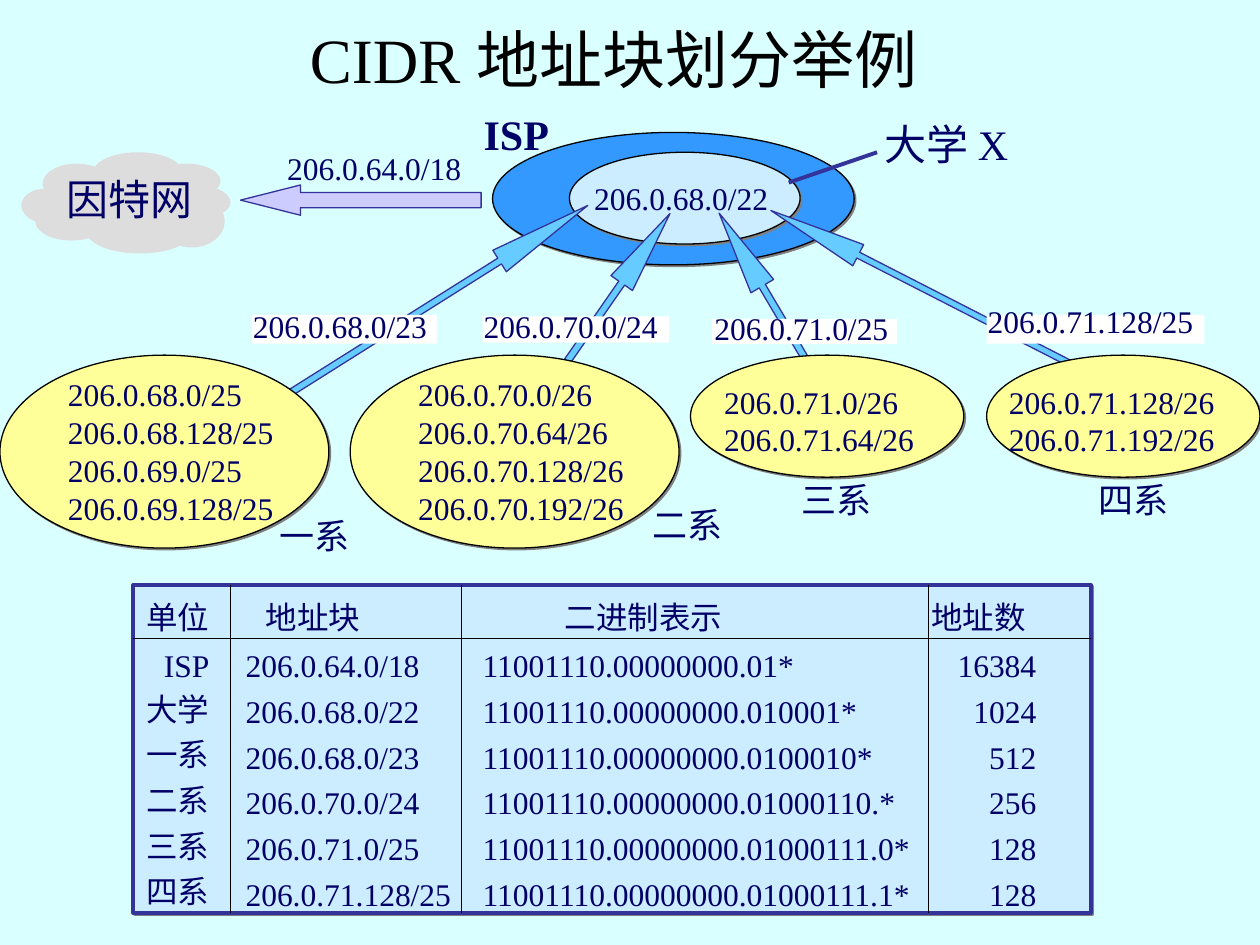
from lxml.etree import SubElement
from pptx import Presentation
from pptx.dml.color import RGBColor
from pptx.enum.shapes import MSO_CONNECTOR, MSO_SHAPE
from pptx.enum.text import MSO_ANCHOR, MSO_AUTO_SIZE, PP_ALIGN
from pptx.oxml import parse_xml
from pptx.oxml.ns import nsdecls, qn
from pptx.util import Cm, Pt

BACKDROP = RGBColor(0xD9, 0xFF, 0xFF)
BLACK = RGBColor(0, 0, 0)
WHITE = RGBColor(0xFF, 0xFF, 0xFF)
NAVY = RGBColor(0, 0, 0x66)
INDIGO = RGBColor(0x33, 0x33, 0x99)
ISP_BLUE = RGBColor(0x33, 0x99, 0xFF)
PALE_BLUE = RGBColor(0xCC, 0xEC, 0xFF)
SKY = RGBColor(0x66, 0xCC, 0xFF)
LILAC = RGBColor(0xCC, 0xCC, 0xFF)
YELLOW = RGBColor(0xFF, 0xFF, 0x99)
CLOUD_GREY = RGBColor(0xDD, 0xDD, 0xDD)
FONT = "Times New Roman"

CLOUD_PUFFS = [
    (1.88, 3.07, 1.8, 0.81), (0.86, 3.3, 1.37, 0.81), (0.43, 3.81, 0.91, 0.66),
    (0.71, 4.11, 1.4, 0.71), (1.73, 4.22, 2.11, 0.86), (3.1, 3.3, 1.32, 0.64),
    (3.3, 3.73, 1.32, 0.64), (3.18, 3.89, 1.32, 1.07), (1.19, 3.56, 2.72, 1.07),
]

DEPARTMENTS = [
    dict(name="四系", name_at=(21.89, 9.53), block="206.0.71.128/25",
         block_at=(19.66, 5.97, 4.65), patch=(19.89, 6.35, 4.39, 0.58),
         oval=(19.89, 7.16, 5.51, 2.46), subnets_at=(20.09, 7.59, 4.65, 1.78),
         subnets="206.0.71.128/26\n206.0.71.192/26",
         arrow=(15.16, 5.59, 6.96, 0.48), turn=27.1, head=4.12),
    dict(name="一系", name_at=(5.38, 10.24), block="206.0.68.0/23",
         block_at=(4.85, 6.07, 4.01), patch=(5.08, 6.35, 3.73, 0.58),
         oval=(0, 7.16, 6.63, 3.89), subnets_at=(1.12, 7.44, 4.65, 3.3),
         subnets="206.0.68.0/25\n206.0.68.128/25\n206.0.69.0/25\n206.0.69.128/25",
         arrow=(4.98, 5.87, 7.44, 0.51), turn=147.8, head=4.12),
    dict(name="二系", name_at=(12.9, 10.03), block="206.0.70.0/24",
         block_at=(9.5, 6.07, 4.01), patch=(9.73, 6.38, 3.76, 0.53),
         oval=(7.06, 7.16, 6.63, 3.89), subnets_at=(8.18, 7.44, 4.65, 3.3),
         subnets="206.0.70.0/26\n206.0.70.64/26\n206.0.70.128/26\n206.0.70.192/26",
         arrow=(8.84, 6.48, 5.94, 0.53), turn=124.8, head=3.22),
    dict(name="三系", name_at=(15.9, 9.53), block="206.0.71.0/25",
         block_at=(14.15, 6.1, 4.01), patch=(14.35, 6.43, 3.73, 0.51),
         oval=(13.92, 7.16, 5.51, 2.46), subnets_at=(14.35, 7.59, 4.4, 1.78),
         subnets="206.0.71.0/26\n206.0.71.64/26",
         arrow=(13.03, 6.6, 5.97, 0.53), turn=59.4, head=3.23),
]

ADDRESS_ROWS = [
    ("单位", "地址块", "二进制表示", "地址数"),
    ("ISP", "206.0.64.0/18", "11001110.00000000.01*", "16384"),
    ("大学", "206.0.68.0/22", "11001110.00000000.010001*", "1024"),
    ("一系", "206.0.68.0/23", "11001110.00000000.0100010*", "512"),
    ("二系", "206.0.70.0/24", "11001110.00000000.01000110.*", "256"),
    ("三系", "206.0.71.0/25", "11001110.00000000.01000111.0*", "128"),
    ("四系", "206.0.71.128/25", "11001110.00000000.01000111.1*", "128"),
]
COLUMN_WIDTHS = (1.96, 4.65, 9.42, 3.27)
HEADER_HEIGHT, ROW_HEIGHT = 1.09, 0.92
HEADER_INDENTS = (0, 0.71, 2.08, 0.05)
BODY_INDENTS = (0, 0.3, 0.43, 0)
RIGHT_INDENTS = (0.43, 0, 0, 1.1)


def write(frame, text, size=18, color=NAVY, bold=False, align=PP_ALIGN.LEFT):
    for index, line in enumerate(text.split("\n")):
        paragraph = frame.add_paragraph() if index else frame.paragraphs[0]
        paragraph.alignment = align
        run = paragraph.add_run()
        run.text = line
        run.font.name = FONT
        run.font.size = Pt(size)
        run.font.bold = bold
        run.font.color.rgb = color


class Diagram:
    def __init__(self, slide):
        self.slide = slide
        slide.background.fill.solid()
        slide.background.fill.fore_color.rgb = BACKDROP

    def text(self, box, text, anchor=MSO_ANCHOR.TOP, wrap=False, **style):
        frame = self.slide.shapes.add_textbox(*map(Cm, box)).text_frame
        frame.word_wrap = wrap
        frame.auto_size = MSO_AUTO_SIZE.NONE if wrap else MSO_AUTO_SIZE.SHAPE_TO_FIT_TEXT
        frame.vertical_anchor = anchor
        write(frame, text, **style)

    def shape(self, kind, box, fill, line=None, width=0.75, shadow=False, parent=None):
        shape = (parent or self.slide).shapes.add_shape(kind, *map(Cm, box))
        shape.shadow.inherit = False
        shape.fill.solid()
        shape.fill.fore_color.rgb = fill
        if line is None:
            shape.line.fill.background()
        else:
            shape.line.color.rgb = line
            shape.line.width = Pt(width)
        if shadow:
            effects = shape._element.spPr.find(qn("a:effectLst"))
            effects.append(parse_xml(
                f'<a:outerShdw {nsdecls("a")} dist="17780" dir="2700000">'
                '<a:srgbClr val="808080"/></a:outerShdw>'))
        return shape

    def oval(self, box, fill):
        self.shape(MSO_SHAPE.OVAL, box, fill, line=BLACK, shadow=True)

    def arrow(self, box, fill, shaft, head, turn=0):
        arrow = self.shape(MSO_SHAPE.LEFT_ARROW, box, fill, line=INDIGO)
        arrow.adjustments[0] = shaft
        arrow.adjustments[1] = head
        arrow.rotation = turn

    def cloud(self):
        group = self.slide.shapes.add_group_shape()
        for shift in (0.03, 0):
            for left, top, width, height in CLOUD_PUFFS:
                self.shape(MSO_SHAPE.OVAL, (left + shift, top + shift, width, height),
                           CLOUD_GREY, parent=group)

    def line(self, start, end, color, width):
        line = self.slide.shapes.add_connector(MSO_CONNECTOR.STRAIGHT, *map(Cm, start + end))
        line.line.color.rgb = color
        line.line.width = Pt(width)
        SubElement(line._element.spPr, qn("a:effectLst"))

    def borders(self, cell, visible):
        properties = cell._tc.get_or_add_tcPr()
        for position, side in enumerate("LRTB"):
            paint = (f'<a:solidFill><a:srgbClr val="{BLACK}"/></a:solidFill>'
                     if side in visible else "<a:noFill/>")
            properties.insert(position, parse_xml(
                f'<a:ln{side} {nsdecls("a")} w="9525">{paint}</a:ln{side}>'))

    def table(self, left, top, rows):
        height = HEADER_HEIGHT + ROW_HEIGHT * (len(rows) - 1)
        box = (left, top, sum(COLUMN_WIDTHS), height)
        self.shape(MSO_SHAPE.RECTANGLE, box, PALE_BLUE, line=INDIGO, width=2.25, shadow=True)
        table = self.slide.shapes.add_table(
            len(rows), len(COLUMN_WIDTHS), *map(Cm, box)).table
        table.first_row = table.horz_banding = False
        last = len(COLUMN_WIDTHS) - 1
        for column, width in zip(table.columns, COLUMN_WIDTHS):
            column.width = Cm(width)
        for r, values in enumerate(rows):
            table.rows[r].height = Cm(ROW_HEIGHT if r else HEADER_HEIGHT)
            for c, value in enumerate(values):
                cell = table.cell(r, c)
                cell.fill.background()
                cell.vertical_anchor = MSO_ANCHOR.BOTTOM
                cell.margin_top = cell.margin_bottom = 0
                cell.margin_left = Cm((BODY_INDENTS if r else HEADER_INDENTS)[c])
                to_right = c == 0 or (c == last and r > 0)
                cell.margin_right = Cm(RIGHT_INDENTS[c] if to_right else 0)
                write(cell.text_frame, value,
                      align=PP_ALIGN.RIGHT if to_right else PP_ALIGN.LEFT)
                self.borders(cell, ("L" if c else "") + ("R" if c < last else "")
                             + ("B" if r == 0 else "T" if r == 1 else ""))


def main():
    deck = Presentation()
    deck.slide_width, deck.slide_height = Cm(25.4), Cm(19.05)
    diagram = Diagram(deck.slides.add_slide(deck.slide_layouts[6]))

    diagram.text((1.55, 0.13, 21.64, 1.93), "CIDR 地址块划分举例", anchor=MSO_ANCHOR.BOTTOM,
                 wrap=True, size=36, color=BLACK, align=PP_ALIGN.CENTER)
    diagram.cloud()
    diagram.text((1.09, 3.38, 3.05, 1.27), "因特网", size=24)
    diagram.oval((9.93, 2.67, 7.29, 2.67), ISP_BLUE)
    diagram.oval((11.48, 3.07, 4.65, 1.85), PALE_BLUE)
    diagram.text((11.73, 3.48, 4.01, 1.02), "206.0.68.0/22")
    diagram.text((5.54, 2.87, 4.01, 1.02), "206.0.64.0/18")
    diagram.arrow((4.85, 3.73, 4.85, 0.61), LILAC, shaft=0.5, head=1.98)
    diagram.text((9.5, 2.06, 1.83, 1.27), "ISP", size=24, bold=True)
    diagram.text((17.58, 2.26, 3.2, 1.27), "大学 X", size=24)
    diagram.line((15.9, 3.68), (17.68, 3.07), INDIGO, 2.25)

    for department in DEPARTMENTS:
        diagram.arrow(department["arrow"], SKY, shaft=0.27,
                      head=department["head"], turn=department["turn"])
        diagram.oval(department["oval"], YELLOW)
        diagram.text(department["subnets_at"], department["subnets"])
        diagram.text((*department["name_at"], 1.95, 1.12), department["name"], size=20)
        diagram.shape(MSO_SHAPE.RECTANGLE, department["patch"], WHITE)
        diagram.text((*department["block_at"], 1.02), department["block"])

    diagram.table(2.69, 11.79, ADDRESS_ROWS)
    deck.save("out.pptx")


if __name__ == "__main__":
    main()
